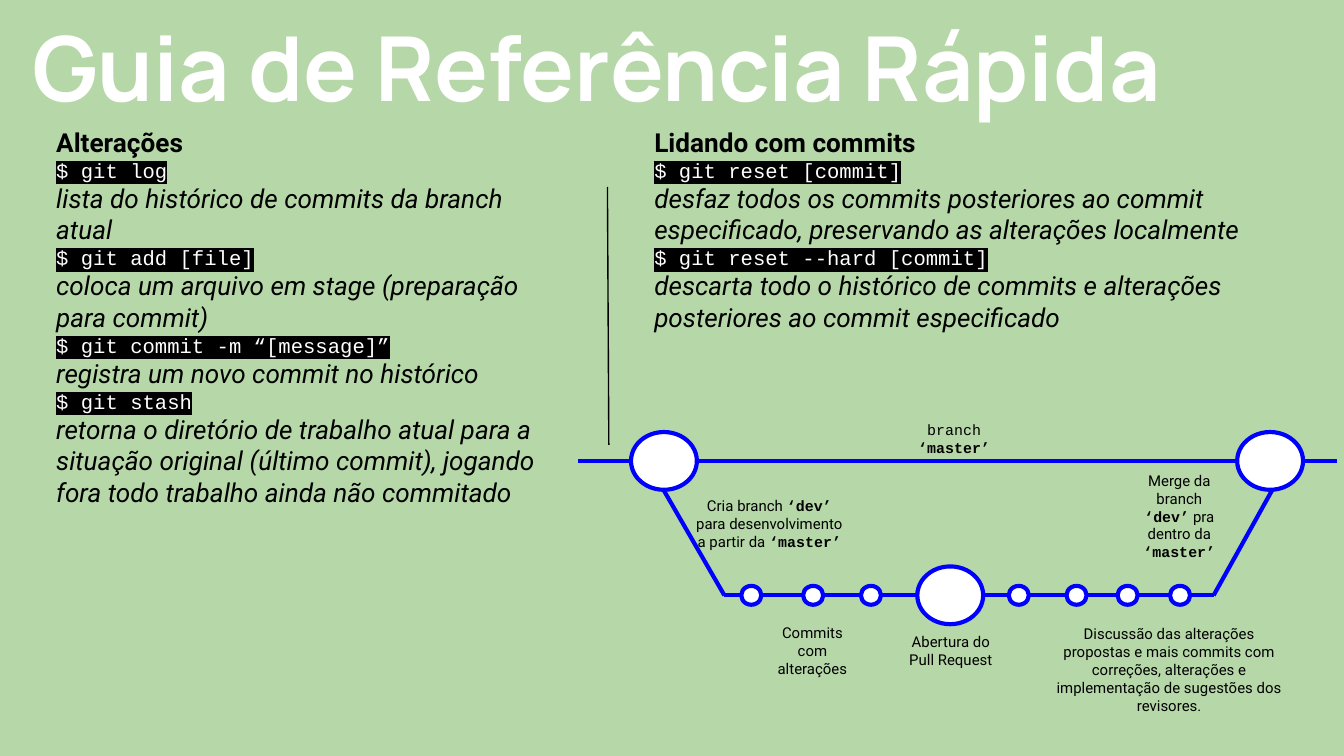
from lxml import etree
from pptx import Presentation
from pptx.dml.color import RGBColor
from pptx.enum import shapes, text
from pptx.oxml import ns
from pptx.util import Inches, Pt

COLORS = {"bg": "B6D7A8", "ink": "000000", "paper": "FFFFFF", "branch": "0000FF"}
SANS, MONO, DISPLAY = "Roboto", "Courier New", "Manrope"

CHANGES = [
    ("$ git log", "lista do histórico de commits da branch atual"),
    ("$ git add [file]", "coloca um arquivo em stage (preparação para commit)"),
    ("$ git commit -m “[message]”", "registra um novo commit no histórico"),
    ("$ git stash", "retorna o diretório de trabalho atual para a situação original "
     "(último commit), jogando fora todo trabalho ainda não commitado"),
]
COMMITS = [
    ("$ git reset [commit]", "desfaz todos os commits posteriores ao commit especificado, "
     "preservando as alterações localmente"),
    ("$ git reset --hard [commit]", "descarta todo o histórico de commits e alterações "
     "posteriores ao commit especificado"),
]
LABELS = [
    ((6.5, 3.17, 1.2, 0.19), [("branch ", MONO, False), ("‘master’", MONO, True)]),
    ((5.05, 3.68, 1.35, 0.43), [
        ("Cria branch ", SANS, False), ("‘dev’", MONO, True),
        (" para desenvolvimento a partir da ", SANS, False), ("‘master’", MONO, True)]),
    ((5.6, 4.77, 0.89, 0.14), [("Commits com alterações", SANS, False)]),
    ((6.63, 4.77, 0.89, 0.14), [("Abertura do Pull Request", SANS, False)]),
    ((7.75, 4.64, 1.9, 0.68), [
        ("Discussão das alterações propostas e mais commits com correções, alterações "
         "e implementação de sugestões dos revisores.", SANS, False)]),
    ((8.33, 3.64, 0.89, 0.4), [
        ("Merge da branch ", SANS, False), ("‘dev’", MONO, True),
        (" pra dentro da ", SANS, False), ("‘master’", MONO, True)]),
]
MASTER_Y, DEV_Y = 3.43, 4.43
DEV_START, DEV_END = 5.39, 9.03
BIG, SMALL = (0.49, 0.43), (0.15, 0.14)
BIG_NODES = [(4.94, MASTER_Y), (9.45, MASTER_Y), (7.07, DEV_Y)]
SMALL_NODES = [5.59, 6.05, 6.48, 7.58, 8.01, 8.39, 8.78]


def rgb(name):
    """Return the named palette colour."""
    return RGBColor.from_string(COLORS[name])


def add_run(p, content, size, font, color="ink", bold=False, italic=False, highlight=None):
    """Append a formatted run to a paragraph."""
    r = p.add_run()
    r.text = content
    r.font.size = Pt(size)
    r.font.bold = bold
    r.font.italic = italic
    r.font.color.rgb = rgb(color)
    if highlight:
        mark = etree.SubElement(r.font._element, ns.qn("a:highlight"))
        etree.SubElement(mark, ns.qn("a:srgbClr"), val=COLORS[highlight])
    r.font.name = font


def setup_frame(tf, anchor):
    """Set wrapping, insets and anchor of a text frame."""
    tf.word_wrap = True
    tf.auto_size = text.MSO_AUTO_SIZE.NONE
    tf.margin_left = tf.margin_right = tf.margin_top = tf.margin_bottom = Inches(0.1)
    tf.vertical_anchor = anchor


def add_box(s, box, anchor):
    """Add an empty text box and return its frame."""
    tf = s.shapes.add_textbox(*map(Inches, box)).text_frame
    setup_frame(tf, anchor)
    return tf


def add_title(s, content):
    """Place and fill the title placeholder."""
    sp = s.shapes.title
    sp.left, sp.top, sp.width, sp.height = map(Inches, (0.14, 0.15, 9.32, 0.68))
    setup_frame(sp.text_frame, text.MSO_ANCHOR.MIDDLE)
    p = sp.text_frame.paragraphs[0]
    p.alignment = text.PP_ALIGN.LEFT
    add_run(p, content, 48, DISPLAY, "paper", bold=True)


def add_commands(s, box, heading, commands):
    """Add a heading followed by commands and their descriptions."""
    tf = add_box(s, box, text.MSO_ANCHOR.TOP)
    add_run(tf.paragraphs[0], heading, 14, SANS, bold=True)
    for command, description in commands:
        add_run(tf.add_paragraph(), command, 11, MONO, "paper", highlight="ink")
        add_run(tf.add_paragraph(), description, 14, SANS, italic=True)


def add_label(s, box, runs):
    """Add a small centred diagram label."""
    p = add_box(s, box, text.MSO_ANCHOR.MIDDLE).paragraphs[0]
    p.alignment = text.PP_ALIGN.CENTER
    for content, font, bold in runs:
        add_run(p, content, 8, font, bold=bold)


def add_line(s, start, end, color="branch", width=2.25):
    """Add a straight line without shadow."""
    line = s.shapes.add_connector(
        shapes.MSO_CONNECTOR.STRAIGHT, *map(Inches, (*start, *end)))
    line.line.color.rgb = rgb(color)
    line.line.width = Pt(width)
    etree.SubElement(line._element.spPr, ns.qn("a:effectLst"))


def add_node(s, x, y, size):
    """Add a commit circle centred on a point."""
    w, h = size
    sp = s.shapes.add_shape(
        shapes.MSO_SHAPE.OVAL, *map(Inches, (x - w / 2, y - h / 2, w, h)))
    sp.shadow.inherit = False
    sp.fill.solid()
    sp.fill.fore_color.rgb = rgb("paper")
    sp.line.color.rgb = rgb("branch")
    sp.line.width = Pt(2.25)


def add_branch_diagram(s):
    """Draw the master and dev branches with their commits and labels."""
    add_line(s, (4.3, MASTER_Y), (9.95, MASTER_Y))
    add_line(s, (DEV_END, DEV_Y), (DEV_START, DEV_Y))
    add_line(s, (4.94, 3.65), (DEV_START, DEV_Y))
    add_line(s, (9.47, 3.64), (DEV_END, DEV_Y))
    for x, y in BIG_NODES:
        add_node(s, x, y, BIG)
    for x in SMALL_NODES:
        add_node(s, x, DEV_Y, SMALL)
    for box, runs in LABELS:
        add_label(s, box, runs)


def main():
    """Build the quick reference slide."""
    prs = Presentation()
    prs.slide_width = Inches(10)
    prs.slide_height = Inches(10) * 9 // 16
    s = prs.slides.add_slide(prs.slide_layouts[5])
    s.background.fill.solid()
    s.background.fill.fore_color.rgb = rgb("bg")
    add_title(s, "Guia de Referência Rápida")
    add_commands(s, (0.32, 0.84, 3.96, 2.88), "Alterações", CHANGES)
    add_commands(s, (4.77, 0.84, 5.07, 2.88), "Lidando com commits", COMMITS)
    add_line(s, (4.52, 1.39), (4.53, 3.31), "ink", 0.75)
    add_branch_diagram(s)
    prs.save("out.pptx")


if __name__ == "__main__":
    main()
